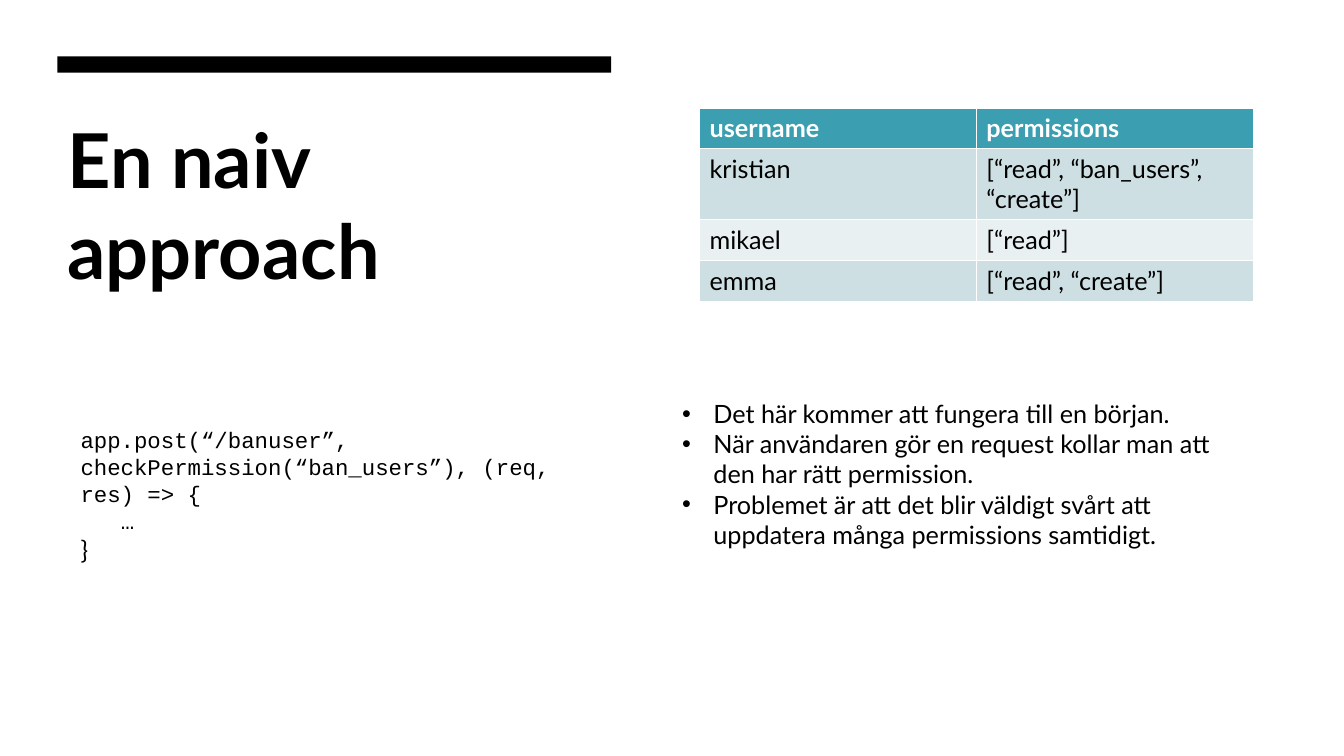
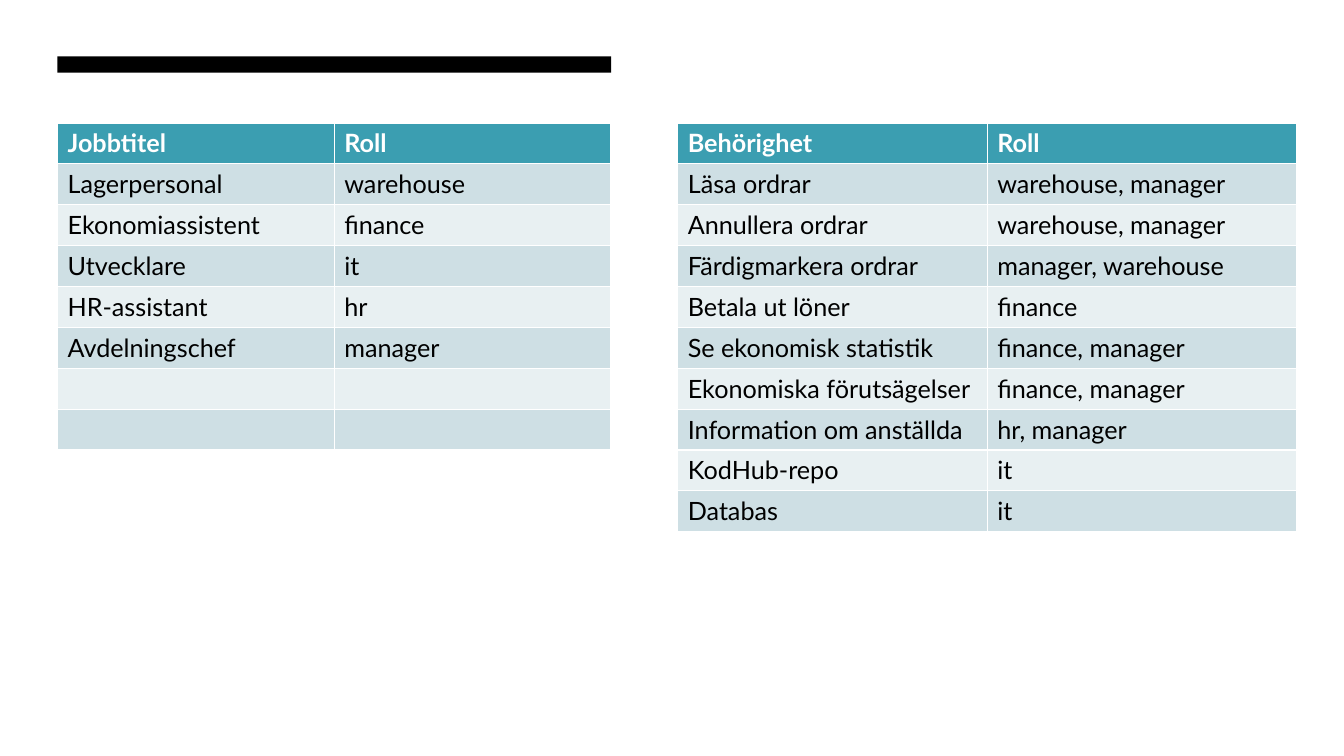
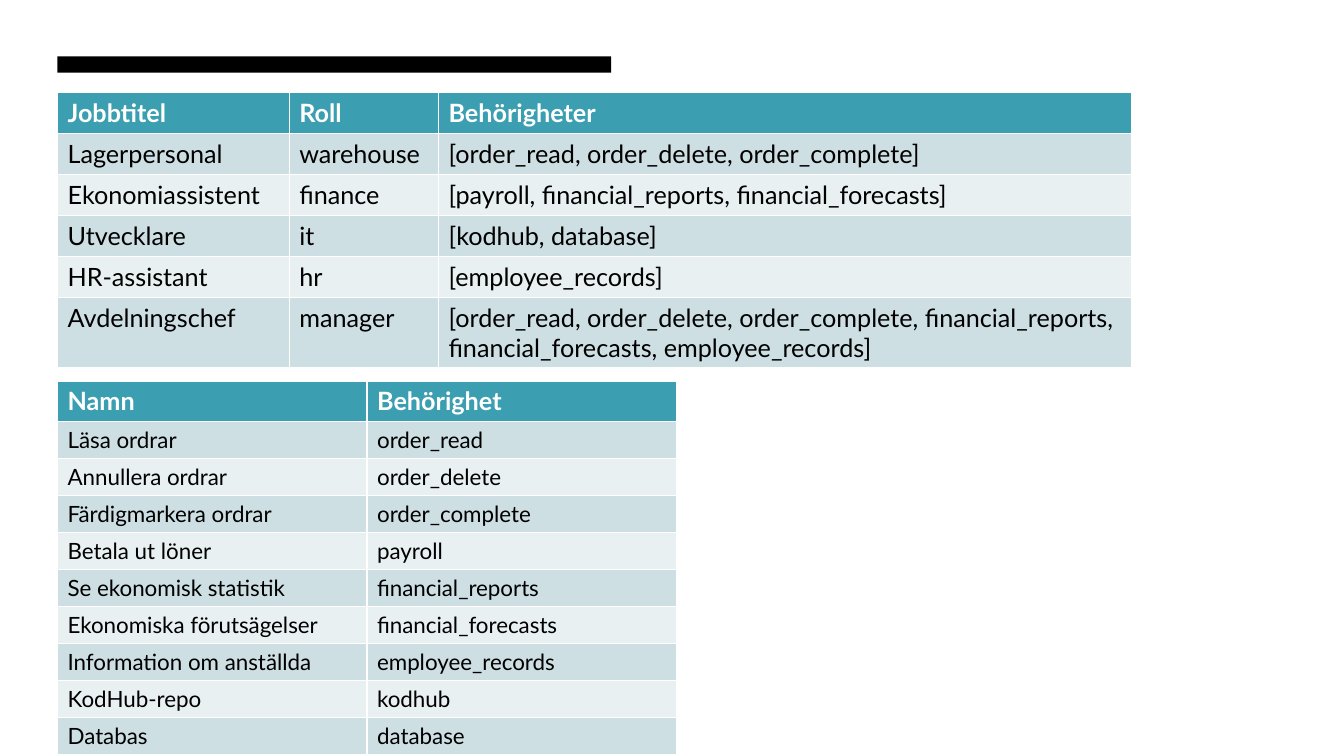
from dataclasses import dataclass

from lxml import etree
from pptx import Presentation
from pptx import util as u
from pptx.dml.color import RGBColor
from pptx.enum import shapes, text
from pptx.oxml.ns import qn


@dataclass(frozen=True)
class Theme:
    ink: str = "000000"
    paper: str = "FFFFFF"
    header: str = "3B9EB1"
    stripes: tuple = ("CEDFE4", "E8F0F2")
    font: str = "Lato"
    mono: str = "Courier New"
    title: int = 54
    body: int = 18
    small: int = 16


T = Theme()

# Content
TITLE = "En naiv approach"
USERS = [
    ("username", "permissions"),
    ("kristian", "[“read”, “ban_users”, “create”]"),
    ("mikael", "[“read”]"),
    ("emma", "[“read”, “create”]"),
]
POINTS = [
    "Det här kommer att fungera till en början.",
    "När användaren gör en request kollar man att den har rätt permission.",
    "Problemet är att det blir väldigt svårt att uppdatera många permissions samtidigt.",
]
# Code lines: text, indent in cm, font, size
CODE = [
    ("app.post(“/banuser”, checkPermission(“ban_users”), (req, res) => {", 0, T.mono, T.small),
    ("…", 1.02, T.mono, T.small),
    ("}", 0, T.font, T.body),
]
# Job title, role, permissions
JOBS = [
    ("Jobbtitel", "Roll", "Behörigheter"),
    ("Lagerpersonal", "warehouse", "[order_read, order_delete, order_complete]"),
    ("Ekonomiassistent", "finance", "[payroll, financial_reports, financial_forecasts]"),
    ("Utvecklare", "it", "[kodhub, database]"),
    ("HR-assistant", "hr", "[employee_records]"),
    ("Avdelningschef", "manager",
     "[order_read, order_delete, order_complete, financial_reports, "
     "financial_forecasts, employee_records]"),
]
# Permission name, roles, key
RIGHTS = [
    ("Läsa ordrar", "warehouse, manager", "order_read"),
    ("Annullera ordrar", "warehouse, manager", "order_delete"),
    ("Färdigmarkera ordrar", "manager, warehouse", "order_complete"),
    ("Betala ut löner", "finance", "payroll"),
    ("Se ekonomisk statistik", "finance, manager", "financial_reports"),
    ("Ekonomiska förutsägelser", "finance, manager", "financial_forecasts"),
    ("Information om anställda", "hr, manager", "employee_records"),
    ("KodHub-repo", "it", "kodhub"),
    ("Databas", "it", "database"),
]

# Grid, in cm
LEFT, RIGHT, HALF = 1.45, 16.94, 13.95
ROW, TIGHT_ROW = 1.03, 0.9
TITLE_ONLY, BLANK = 5, 6


def box(*lengths):
    return [u.Cm(n) for n in lengths]


def style(p, size=T.body, color=T.ink, bold=False, font=T.font):
    p.font.name, p.font.size, p.font.bold = font, u.Pt(size), bold
    p.font.color.rgb = RGBColor.from_string(color)


def new_slide(prs, layout):
    s = prs.slides.add_slide(prs.slide_layouts[layout])
    band = s.shapes.add_shape(shapes.MSO_SHAPE.RECTANGLE, *box(LEFT, 1.42, HALF, 0.41))
    band.shadow.inherit = False
    band.fill.solid()
    band.fill.fore_color.rgb = RGBColor.from_string(T.ink)
    band.line.fill.background()
    return s


def add_title(s, title):
    sp = s.shapes.title
    sp.left, sp.top, sp.width, sp.height = box(LEFT, 2.72, HALF, 13.54)
    tf = sp.text_frame
    tf.text = title
    tf.word_wrap = True
    tf.auto_size = text.MSO_AUTO_SIZE.NONE
    tf.vertical_anchor = text.MSO_ANCHOR.TOP
    p = tf.paragraphs[0]
    p.alignment = text.PP_ALIGN.LEFT
    style(p, T.title, bold=True)


def add_grid(s, left, top, widths, rows, row_height=ROW, size=T.body):
    frame = s.shapes.add_table(len(rows), len(widths),
                               *box(left, top, sum(widths), row_height * len(rows)))
    table = frame.table
    for column, width in zip(table.columns, widths):
        column.width = u.Cm(width)
    for i, row in enumerate(rows):
        table.rows[i].height = u.Cm(row_height)
        fill = T.stripes[(i - 1) % 2] if i else T.header
        for j, value in enumerate(row):
            cell = table.cell(i, j)
            cell.fill.solid()
            cell.fill.fore_color.rgb = RGBColor.from_string(fill)
            cell.text = value
            p = cell.text_frame.paragraphs[0]
            if i:
                style(p, size)
            else:
                style(p, color=T.paper, bold=True)


def add_lines(s, area, lines):
    """Add a text box and return its paragraphs, one for each line."""
    tf = s.shapes.add_textbox(*box(*area)).text_frame
    tf.word_wrap = True
    tf.auto_size = text.MSO_AUTO_SIZE.SHAPE_TO_FIT_TEXT
    tf.text = "\n".join(lines)
    return tf.paragraphs


def indent(p, margin, first=0.0):
    pr = p._p.get_or_add_pPr()
    pr.set("marL", str(u.Cm(margin)))
    pr.set("indent", str(u.Cm(first)))
    return pr


def add_bullet(p):
    pr = indent(p, 0.79, -0.79)
    font = etree.Element(qn("a:buFont"), typeface="Arial")
    char = etree.Element(qn("a:buChar"), char="•")
    pr.insert(0, font)
    pr.insert(1, char)


def naive_slide(prs):
    s = new_slide(prs, TITLE_ONLY)
    add_title(s, TITLE)
    add_grid(s, 17.63, 2.72, [HALF / 2] * 2, USERS)
    for p in add_lines(s, (RIGHT, 9.91, 14.63, 4.88), POINTS):
        add_bullet(p)
        style(p)
    code = add_lines(s, (1.78, 10.62, HALF, 3.76), [line[0] for line in CODE])
    for p, (_, margin, font, size) in zip(code, CODE):
        indent(p, margin)
        style(p, size, font=font)


def roles_slide(prs):
    s = new_slide(prs, BLANK)
    jobs = [job[:2] for job in JOBS] + [("", "")] * 2
    rights = [("Behörighet", "Roll")] + [right[:2] for right in RIGHTS]
    add_grid(s, LEFT, 3.1, [HALF / 2] * 2, jobs)
    add_grid(s, 17.08, 3.1, [7.8] * 2, rights)


def permissions_slide(prs):
    s = new_slide(prs, BLANK)
    keys = [("Namn", "Behörighet")] + [(name, key) for name, _, key in RIGHTS]
    add_grid(s, LEFT, 2.34, [5.84, 3.76, 17.46], JOBS)
    add_grid(s, LEFT, 9.6, [7.8] * 2, keys, TIGHT_ROW, T.small)


def main():
    prs = Presentation()
    prs.slide_width, prs.slide_height = box(33.87, 19.05)
    naive_slide(prs)
    roles_slide(prs)
    permissions_slide(prs)
    prs.save("out.pptx")


if __name__ == "__main__":
    main()
